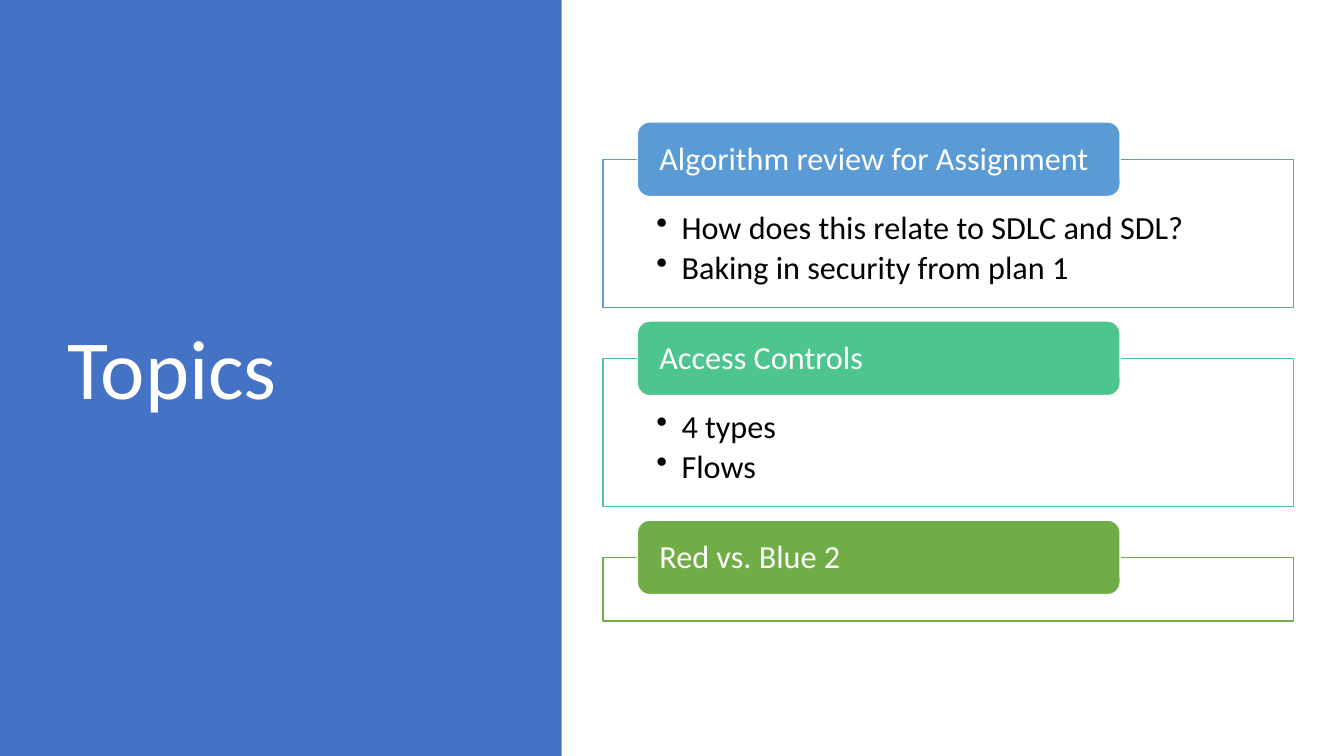
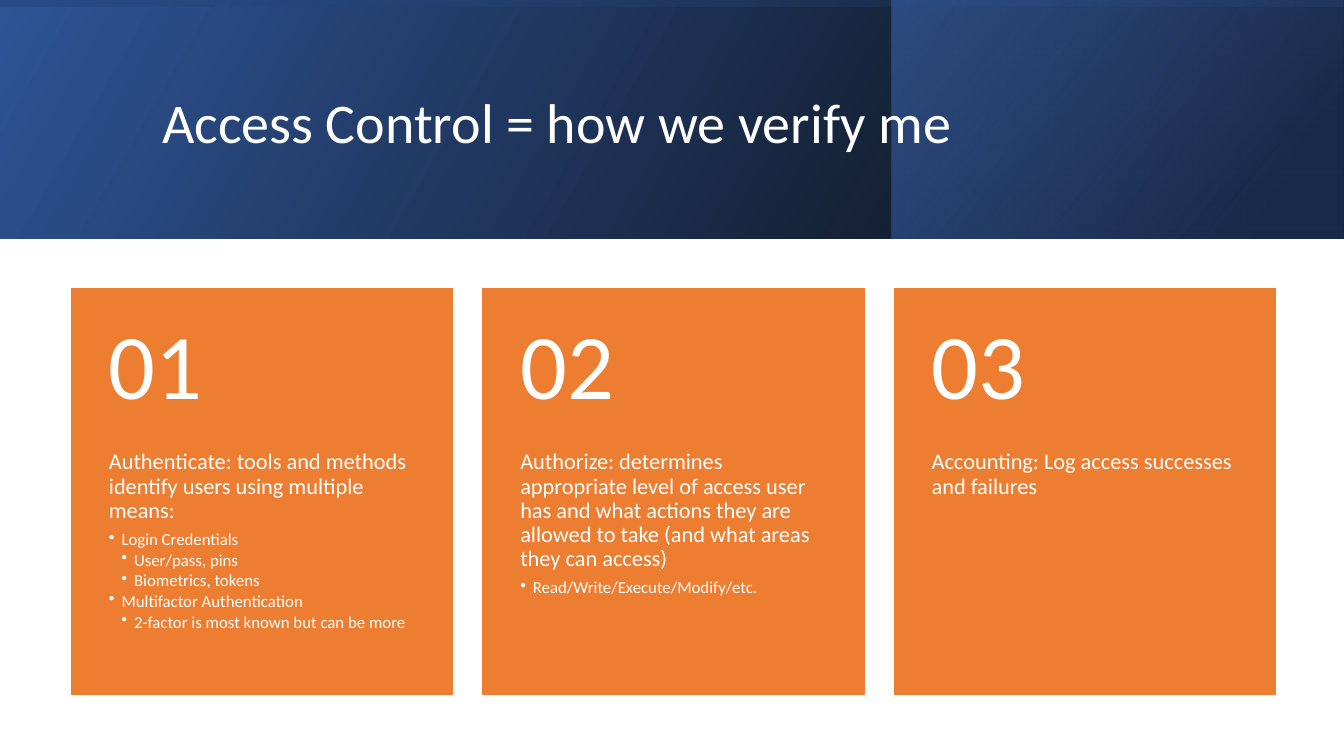
from dataclasses import dataclass, field
from typing import Any

from pptx import Presentation, oxml, util as u
from pptx.dml import color as dc
from pptx.enum import shapes as es, text as et
from pptx.oxml import ns

HUES = {
    "white": "FFFFFF", "black": "000000", "panel": "4472C4",
    "sky": "5B9BD5", "mint": "4DC58D", "leaf": "70AD47",
    "card": "ED7D31", "royal": "2F5597", "navy": "203864",
}
FACE = "Calibri"
WIDE, HIGH = 13.33, 7.5
BAND = 2.37
RECT = es.MSO_SHAPE.RECTANGLE
ROUND = es.MSO_SHAPE.ROUNDED_RECTANGLE
MID, TOP = et.MSO_ANCHOR.MIDDLE, et.MSO_ANCHOR.TOP
Area = tuple[float, float, float, float]


@dataclass
class Line:
    words: str
    size: float
    hue: str = "white"
    after: float = 0
    level: int = 0
    left: float = 0
    hang: float = 0


@dataclass
class Topic:
    head: str
    hue: str
    high: float
    points: list[str] = field(default_factory=list)


@dataclass
class Card:
    lead: str
    points: list[tuple[int, str]] = field(default_factory=list)


@dataclass
class Stop:
    at: int
    hue: str
    alpha: int


@dataclass
class Shade:
    area: Area
    angle: int
    stops: list[Stop]
    turn: int = 0


TOPICS = [
    Topic("Algorithm review for Assignment", "sky", 1.47,
          ["How does this relate to SDLC and SDL?", "Baking in security from plan 1"]),
    Topic("Access Controls", "mint", 1.47, ["4 types", "Flows"]),
    Topic("Red vs. Blue 2", "leaf", 0.63),
]
CARDS = [
    Card("Authenticate: tools and methods identify users using multiple means:",
         [(1, "Login Credentials"), (2, "User/pass, pins"),
          (2, "Biometrics, tokens"), (1, "Multifactor Authentication"),
          (2, "2-factor is most known but can be more")]),
    Card("Authorize: determines appropriate level of access user has and what "
         "actions they are allowed to take (and what areas they can access)",
         [(1, "Read/Write/Execute/Modify/etc.")]),
    Card("Accounting: Log access successes and failures"),
]
SHADES = [
    Shade((0, 0, WIDE, BAND), 330,
          [Stop(0, "black", 96), Stop(100, "royal", 100)]),
    Shade((8.84, 0, 4.48, BAND), 320,
          [Stop(19, "navy", 68), Stop(100, "panel", 48)]),
    Shade(((WIDE - BAND) / 2, (BAND - WIDE) / 2, BAND, WIDE), 350,
          [Stop(23, "royal", 16), Stop(99, "black", 45)], 270),
]


def rgb(hue: str) -> dc.RGBColor:
    return dc.RGBColor.from_string(HUES[hue])


def style(item: Any, form: dict[str, Any]) -> None:
    for name, value in form.items():
        setattr(item, name, value)


def place(area: Area) -> list[int]:
    return [u.Inches(side) for side in area]


def block(slide: Any, area: Area, fill: str = "", edge: str = "", kind: Any = RECT) -> Any:
    shape = slide.shapes.add_shape(kind, *place(area))
    shape.shadow.inherit = False
    if fill:
        shape.fill.solid()
        shape.fill.fore_color.rgb = rgb(fill)
    if edge:
        shape.line.color.rgb = rgb(edge)
        shape.line.width = u.Pt(1)
    else:
        shape.line.fill.background()
    return shape


def write(slide: Any, area: Area, lines: list[Line], anchor: Any = MID,
          pad: Area = (0.1, 0.05, 0.1, 0.05)) -> None:
    frame = slide.shapes.add_textbox(*place(area)).text_frame
    left, top, right, low = place(pad)
    style(frame, {"word_wrap": True, "vertical_anchor": anchor, "margin_left": left,
                  "margin_top": top, "margin_right": right, "margin_bottom": low})
    for i, line in enumerate(lines):
        para = frame.add_paragraph() if i else frame.paragraphs[0]
        style(para, {"line_spacing": 0.9, "level": line.level,
                     "space_after": u.Pt(line.size * line.after)})
        run = para.add_run()
        run.text = line.words
        style(run.font, {"name": FACE, "size": u.Pt(line.size)})
        run.font.color.rgb = rgb(line.hue)
        if line.hang:
            prop = para._p.get_or_add_pPr()
            prop.set("marL", str(u.Inches(line.left)))
            prop.set("indent", str(-u.Inches(line.hang)))
            prop.append(oxml.parse_xml(f'<a:buChar {ns.nsdecls("a")} char="•"/>'))


def title(slide: Any, area: Area, words: str, size: float) -> None:
    write(slide, area, [Line(words, size)])


def blend(slide: Any, shade: Shade) -> None:
    shape = block(slide, shade.area)
    shape.rotation = shade.turn
    prop = shape._element.spPr
    prop.xfrm.set("flipH", "1")
    stops = "".join(
        f'<a:gs pos="{s.at * 1000}"><a:srgbClr val="{HUES[s.hue]}">'
        f'<a:alpha val="{s.alpha * 1000}"/></a:srgbClr></a:gs>' for s in shade.stops)
    prop.find(ns.qn("a:prstGeom")).addnext(oxml.parse_xml(
        f'<a:gradFill {ns.nsdecls("a")} rotWithShape="1"><a:gsLst>{stops}</a:gsLst>'
        f'<a:lin ang="{shade.angle * 60000}" scaled="0"/></a:gradFill>'))


def topic(slide: Any, item: Topic, top: float) -> None:
    area = (5.98, top, 6.85, item.high)
    block(slide, area, "white", item.hue)
    if item.points:
        lines = [Line(p, 23, "black", 0.15, 1, 0.25, 0.25) for p in item.points]
        write(slide, area, lines, TOP, (0.53, 0.52, 0.53, 0.18))
    block(slide, (6.32, top - 0.37, 4.79, 0.74), item.hue, "white", ROUND)
    write(slide, (6.36, top - 0.33, 4.72, 0.67), [Line(item.head, 23, after=0.35)],
          pad=(0.18, 0, 0.18, 0))


def card(slide: Any, item: Card, rank: int) -> None:
    left, top, wide, head, body = 0.71 + 4.08 * rank, 2.86, 3.78, 1.61, 2.42
    block(slide, (left, top, wide, head + body), "card", "card")
    lines = [Line(item.lead, 16, after=0.35)]
    lines += [Line(words, 12, "white", 0.15, level, 0.125 * level, 0.125)
              for level, words in item.points]
    write(slide, (left, top + head, wide, body), lines, TOP, (0.37, 0, 0.37, 0.36))
    write(slide, (left, top, wide, head), [Line(f"{rank + 1:02}", 66, after=0.35)],
          pad=(0.37, 0.18, 0.37, 0.18))


def agenda(slide: Any) -> None:
    block(slide, (0, 0, 5.57, HIGH), "panel")
    title(slide, (0.57, 0.68, 4.16, 6.02), "Topics", 60)
    for i, item in enumerate(TOPICS):
        topic(slide, item, 1.58 + 1.975 * i)


def access(slide: Any) -> None:
    for shade in SHADES:
        blend(slide, shade)
    title(slide, (1.51, 0.38, 10.63, 1.72), "Access Control = how we verify me", 40)
    for i, item in enumerate(CARDS):
        card(slide, item, i)


deck = Presentation()
style(deck, {"slide_width": u.Inches(WIDE), "slide_height": u.Inches(HIGH)})
for draw in (agenda, access):
    draw(deck.slides.add_slide(deck.slide_layouts[6]))
deck.save("out.pptx")
